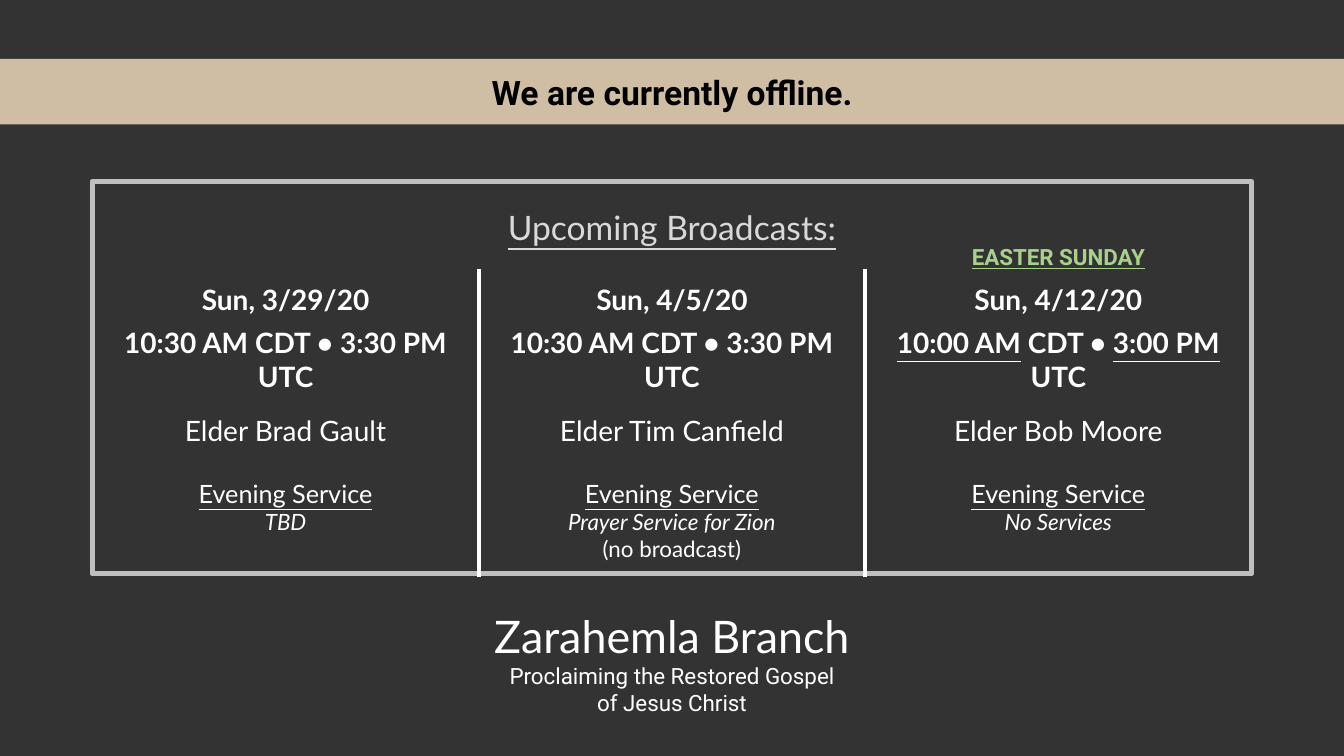
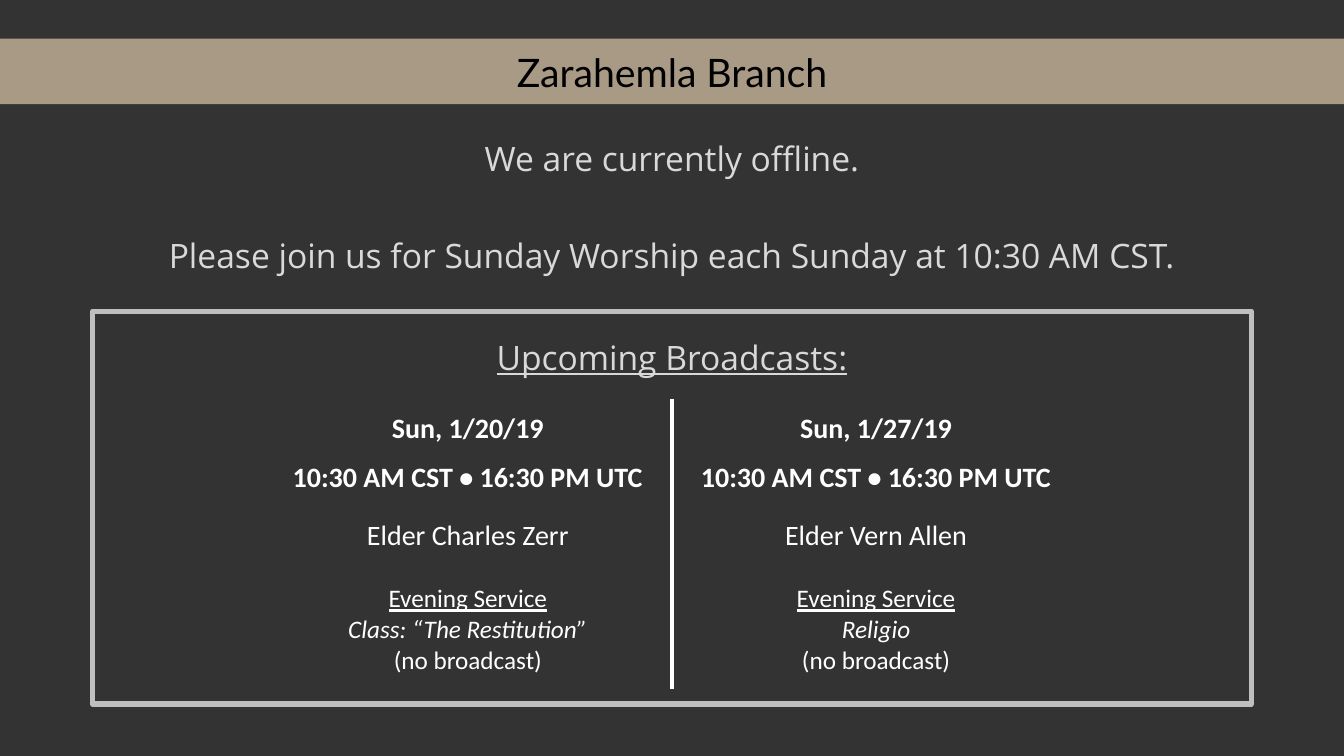
from dataclasses import dataclass, field
from typing import Any

from lxml.etree import SubElement
from pptx import Presentation
from pptx.dml.color import RGBColor as Color
from pptx.enum.shapes import MSO_SHAPE as Preset
from pptx.enum.text import MSO_ANCHOR as Anchor, MSO_AUTO_SIZE as AutoSize, PP_ALIGN as Align
from pptx.oxml.ns import qn
from pptx.util import Emu, Inches, Pt

COLUMNS, ROWS = 160, 90  # slide grid, twelve units to the inch
UNIT = Inches(1) / 12


@dataclass(frozen=True)
class Theme:
    """Colours and type sizes shared by the slides."""
    page: str = "333333"
    tan: str = "CFBDA4"
    taupe: str = "A99A85"
    black: str = "000000"
    white: str = "FFFFFF"
    pale: str = "D9D9D9"
    frame: str = "BFBFBF"
    green: str = "A9D18E"
    display: int = 32
    title: int = 28
    heading: int = 24
    body: int = 20
    label: int = 18
    small: int = 16


THEME = Theme()
NO_GRID_STYLE = "{2D5ABB26-0587-4C30-8999-92F81FD0307C}"


@dataclass(frozen=True)
class Box:
    """A rectangle in grid units."""
    left: float
    top: float
    width: float
    height: float

    def lengths(self) -> list[Emu]:
        return [Emu(round(side * UNIT)) for side in (self.left, self.top, self.width, self.height)]


@dataclass(frozen=True)
class Span:
    text: str
    size: int
    font: str
    color: str = THEME.white
    style: dict[str, bool] = field(default_factory=dict)


@dataclass(frozen=True)
class Line:
    spans: list[Span]
    before: float = 0
    spacing: float = 1


@dataclass(frozen=True)
class Broadcast:
    date: str
    times: list[tuple[str, bool]]  # text, underlined
    speaker: str
    evening: str
    remark: str = ""


@dataclass(frozen=True)
class Schedule:
    """A framed set of broadcasts, one column each."""
    frame: Box
    table: Box
    heading_font: str
    font: str
    evening_size: int
    broadcasts: list[Broadcast]


def centered(top: float, width: float, height: float) -> Box:
    return Box((COLUMNS - width) / 2, top, width, height)


def write(text_frame: Any, lines: list[Line]) -> None:
    """Fill a text frame with centred lines."""
    for index, line in enumerate(lines):
        para = text_frame.paragraphs[0] if index == 0 else text_frame.add_paragraph()
        layout = {"alignment": Align.CENTER, "space_before": Pt(line.before),
                  "line_spacing": line.spacing}
        for name, value in layout.items():
            setattr(para, name, value)
        for span in line.spans:
            run = para.add_run()
            run.text = span.text
            face = {"name": span.font, "size": Pt(span.size), "bold": False} | span.style
            for name, value in face.items():
                setattr(run.font, name, value)
            run.font.color.rgb = Color.from_string(span.color)


def add_text(page: Any, box: Box, lines: list[Line]) -> None:
    shape = page.shapes.add_textbox(*box.lengths())
    shape.text_frame.word_wrap = True
    shape.text_frame.vertical_anchor = Anchor.MIDDLE
    write(shape.text_frame, lines)


def add_band_title(page: Any, top: float, color: str, title: Span) -> None:
    """Turn the title placeholder into a full-width band."""
    band = page.shapes.title
    sides = Box(0, top, COLUMNS, 7.8).lengths()
    for name, value in zip(("left", "top", "width", "height"), sides):
        setattr(band, name, value)
    band.fill.solid()
    band.fill.fore_color.rgb = Color.from_string(color)
    layout = {"auto_size": AutoSize.NONE, "vertical_anchor": Anchor.MIDDLE, "word_wrap": True}
    for name, value in layout.items():
        setattr(band.text_frame, name, value)
    write(band.text_frame, [Line([title])])


def add_frame(page: Any, box: Box, font: str) -> None:
    frame = page.shapes.add_shape(Preset.RECTANGLE, *box.lengths())
    frame.shadow.inherit = False
    frame.fill.background()
    frame.line.color.rgb = Color.from_string(THEME.frame)
    frame.line.width = Pt(4)
    frame.text_frame.vertical_anchor = Anchor.TOP
    frame.text_frame.margin_top = Inches(0.25)
    write(frame.text_frame, [Line([Span("Upcoming Broadcasts:", THEME.heading, font,
                                        THEME.pale, {"underline": True})])])


def add_borders(cell: Any, sides: list[str]) -> None:
    """Draw white rules on the given sides, ahead of the cell fill."""
    properties = cell._tc.get_or_add_tcPr()
    for position, side in enumerate(sides):
        rule = SubElement(properties, qn(f"a:{side}"), w=str(Pt(3)))
        fill = SubElement(rule, qn("a:solidFill"))
        SubElement(fill, qn("a:srgbClr"), val=THEME.white)
        properties.insert(position, rule)


def cell_lines(event: Broadcast, font: str, evening_size: int) -> list[list[Line]]:
    """Lines for the date, time and service cells of one broadcast."""
    bold, underline = {"bold": True}, {"underline": True}
    service = [
        Line([Span(event.speaker, THEME.body, font)]),
        Line([Span("Evening Service", THEME.label, font, style=underline)], before=22),
        Line([Span(event.evening, evening_size, font, style={"italic": True})]),
    ]
    if event.remark:
        service.append(Line([Span(event.remark, evening_size, font)]))
    times = [Span(text, THEME.body, font, style=bold | {"underline": marked})
             for text, marked in event.times]
    return [[Line([Span(event.date, THEME.body, font, style=bold)])], [Line(times)], service]


def add_schedule(page: Any, schedule: Schedule) -> None:
    add_frame(page, schedule.frame, schedule.heading_font)
    count = len(schedule.broadcasts)
    table = page.shapes.add_table(3, count, *schedule.table.lengths()).table
    table.first_row = table.horz_banding = False
    table._tbl.tblPr.find(qn("a:tableStyleId")).text = NO_GRID_STYLE
    for row, height in zip(table.rows, (6.24, 6.24, 9.24)):
        row.height = Emu(round(height * UNIT))

    anchors = (Anchor.BOTTOM, Anchor.MIDDLE, Anchor.TOP)
    margins = (0.05, 0.05, 0.15)
    for column, event in enumerate(schedule.broadcasts):
        sides = ["lnL"] * (column > 0) + ["lnR"] * (column < count - 1)
        parts = cell_lines(event, schedule.font, schedule.evening_size)
        for row, lines in enumerate(parts):
            cell = table.cell(row, column)
            cell.fill.background()
            cell.vertical_anchor = anchors[row]
            for side in ("left", "right", "top", "bottom"):
                setattr(cell, f"margin_{side}", Inches(margins[row]))
            write(cell.text_frame, lines)
            add_borders(cell, sides)


def build_easter_page(page: Any) -> None:
    frame = centered(21.6, 138, 46.7)
    usual = [("10:30 AM CDT • 3:30 PM UTC", False)]
    easter = [("10:00 AM", True), (" CDT • ", False), ("3:00 PM", True), (" UTC", False)]
    add_schedule(page, Schedule(frame, centered(32, 138, 21.72), "Lato", "Lato", THEME.small, [
        Broadcast("Sun, 3/29/20", usual, "Elder Brad Gault", "TBD"),
        Broadcast("Sun, 4/5/20", usual, "Elder Tim Canfield",
                  "Prayer Service for Zion", "(no broadcast)"),
        Broadcast("Sun, 4/12/20", easter, "Elder Bob Moore", "No Services"),
    ]))
    add_band_title(page, 7, THEME.tan, Span("We are currently offline.", THEME.heading,
                                            "Roboto", THEME.black, {"bold": True}))
    # Branch name and motto
    motto = ("Proclaiming the Restored Gospel", "of Jesus Christ")
    add_text(page, centered(71.8, 99, 14.1),
             [Line([Span("Zarahemla Branch", THEME.display, "Lato")])]
             + [Line([Span(text, THEME.small, "Roboto")]) for text in motto])
    # Label over the last column
    column = frame.width / 3
    add_text(page, Box(frame.left + 2 * column, 28.4, column, 4.4),
             [Line([Span("EASTER SUNDAY", THEME.small, "Roboto", THEME.green,
                         {"bold": True, "underline": True})])])


def build_worship_page(page: Any) -> None:
    add_band_title(page, 4.6, THEME.taupe,
                   Span("Zarahemla Branch", THEME.title, "Lato", THEME.black))
    # Invitation
    invitation = ("We are currently offline.",
                  "Please join us for Sunday Worship each Sunday at 10:30 AM CST.")
    add_text(page, centered(15, 138, 19.8), [
        Line([Span(text, THEME.heading, "Open Sans", THEME.pale)], before=gap, spacing=0.9)
        for text, gap in zip(invitation, (0, 43))])
    times = [("10:30 AM CST • 16:30 PM UTC", False)]
    add_schedule(page, Schedule(
        centered(37.1, 138, 46.7), centered(47.5, 97.2, 21.72),
        "Open Sans", "Calibri", THEME.label, [
            Broadcast("Sun, 1/20/19", times, "Elder Charles Zerr",
                      "Class: “The Restitution”", "(no broadcast)"),
            Broadcast("Sun, 1/27/19", times, "Elder Vern Allen", "Religio", "(no broadcast)"),
        ]))


def main() -> None:
    deck = Presentation()
    deck.slide_width = Emu(round(COLUMNS * UNIT))
    deck.slide_height = Emu(round(ROWS * UNIT))
    backdrop = deck.slide_master.background.fill
    backdrop.solid()
    backdrop.fore_color.rgb = Color.from_string(THEME.page)
    title_only = deck.slide_layouts.get_by_name("Title Only")
    for build in (build_easter_page, build_worship_page):
        build(deck.slides.add_slide(title_only))
    deck.save("out.pptx")


if __name__ == "__main__":
    main()
